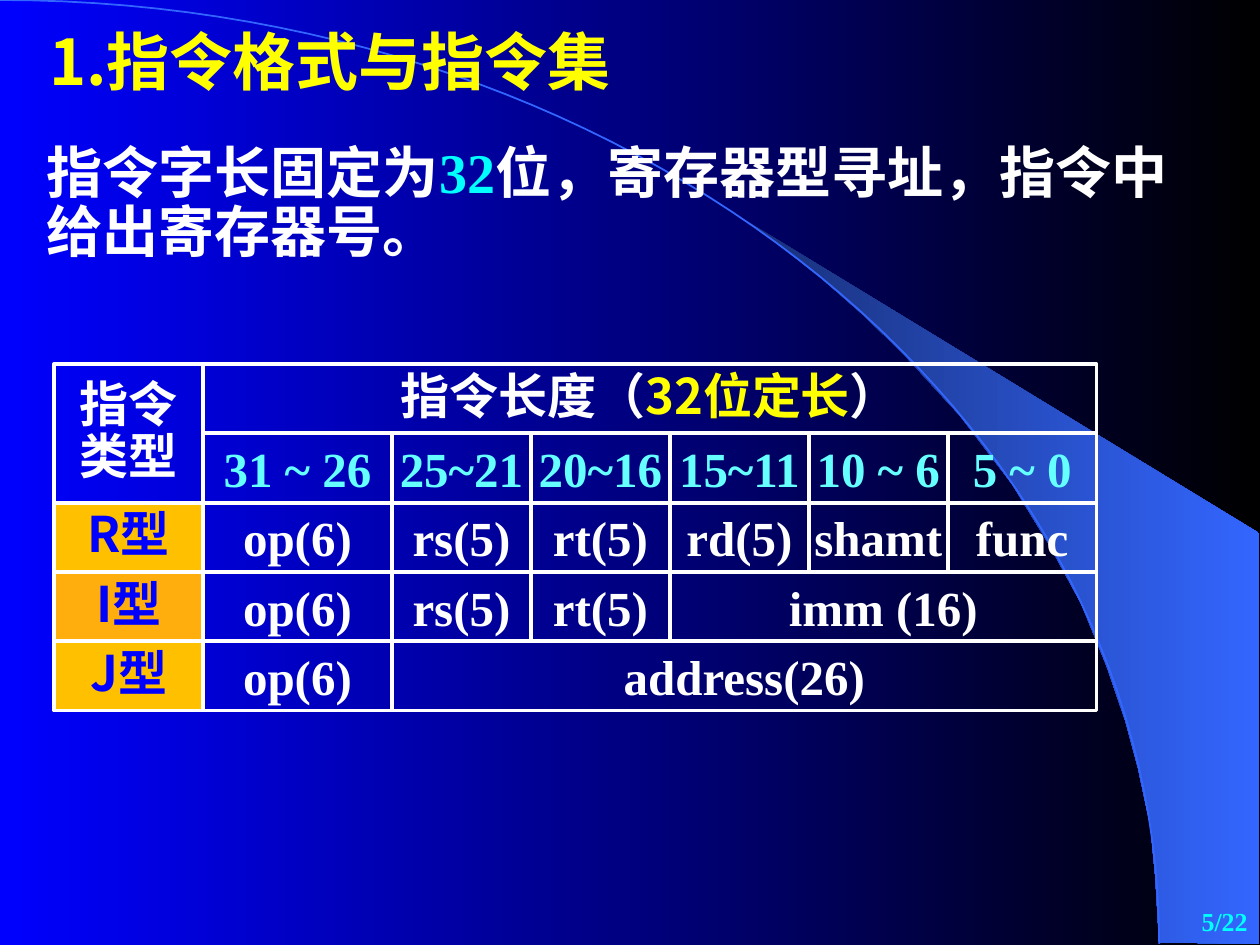
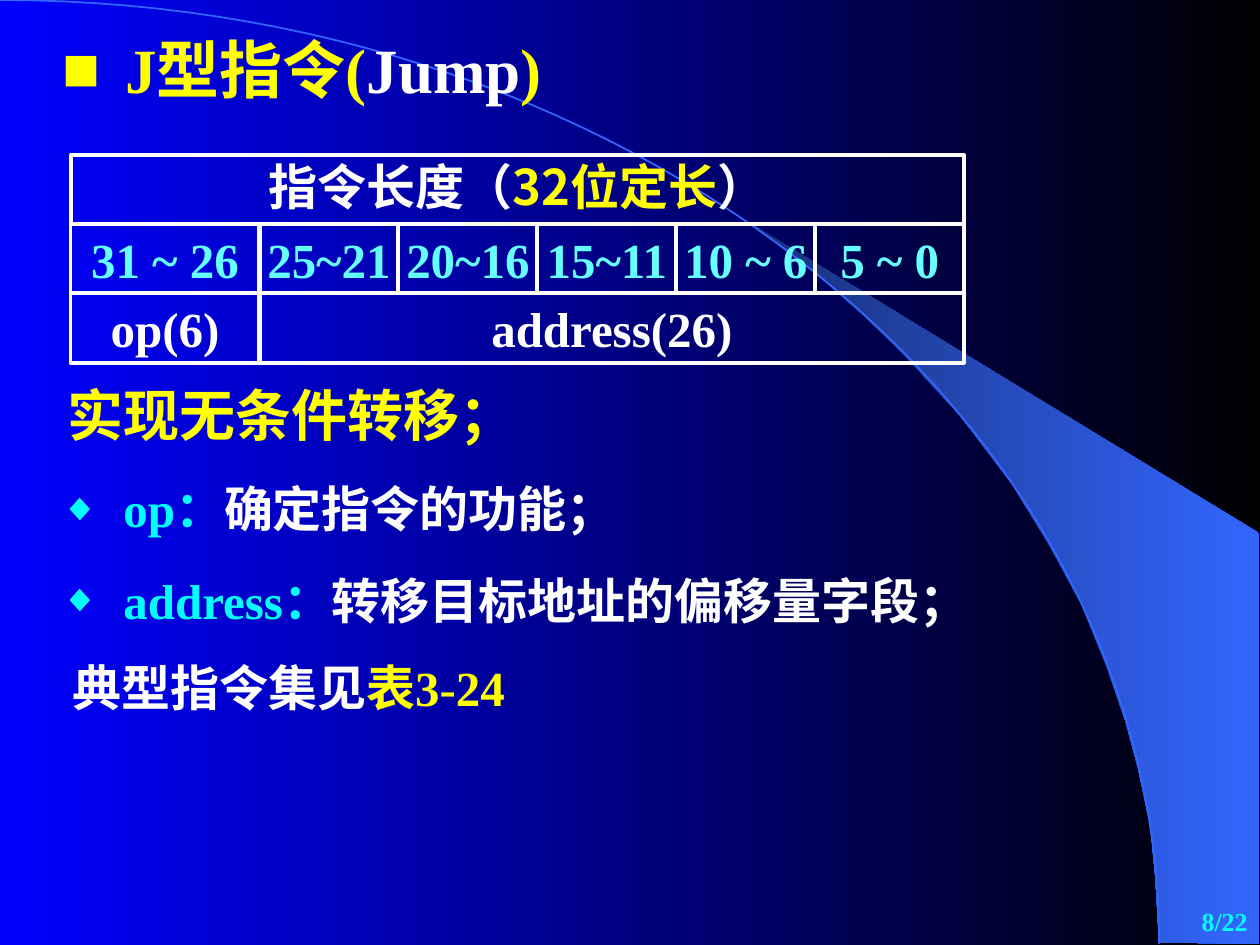
from lxml.etree import SubElement
from pptx import Presentation
from pptx.dml.color import RGBColor
from pptx.enum.shapes import MSO_SHAPE
from pptx.enum.text import MSO_ANCHOR, PP_ALIGN
from pptx.oxml.ns import qn
from pptx.util import Pt

WIDTH, HEIGHT = 720, 540
TIMES, NOTO = "Times New Roman", "Noto Sans CJK SC"
BLUE, BLACK, WHITE = "0000FF", "000000", "FFFFFF"
YELLOW, CYAN, PALE_CYAN = "FFFF00", "00FFFF", "66FFFF"
GOLD, ORANGE = "FFC000", "FFAE0D"
BEAM_DARK, BEAM_LIGHT = "182F76", "3366FF"
BEAM = [(662.4, 538.6), (719.3, 539.3), (719.3, 304.6), (424, 124.6),
        (449.3, 143.3), (470.2, 159.8), (493.2, 180), (515.5, 201.6),
        (548.6, 237.6), (578.2, 276.5), (599, 310.3), (617.8, 344.9),
        (632.2, 380.2), (643, 411.8), (650.2, 438.5), (657.4, 472.3),
        (660.2, 501.1)]
ARC = [(0, 0), (365.8, 0), (662.4, 241.2), (662.4, 539.3)]
ROW_HEIGHT = 39.6
TYPE_WIDTH = 85
FIELD_WIDTHS = [108] + [79.4] * 4 + [85]
BIT_RANGES = ["31 ~ 26", "25~21", "20~16", "15~11", "10 ~ 6", "5 ~ 0"]
J_FIELDS = [("op(6)", 1), ("address(26)", 5)]
FORMATS = [
    ("R型", GOLD, [(name, 1) for name in
                  ("op(6)", "rs(5)", "rt(5)", "rd(5)", "shamt", "func")]),
    ("I型", ORANGE, [("op(6)", 1), ("rs(5)", 1), ("rt(5)", 1), ("imm (16)", 3)]),
    ("J型", GOLD, J_FIELDS),
]


def rgb(color):
    return RGBColor.from_string(color)


def fill_gradient(fill, start, end):
    fill.gradient()
    fill.gradient_angle = 0
    for stop, color in zip(fill.gradient_stops, (start, end)):
        stop.color.rgb = rgb(color)


def write_para(para, spans, size, font, align=PP_ALIGN.LEFT):
    """Fill a paragraph with (text, colour) spans."""
    para.alignment = align
    if not all(text.isascii() for text, _ in spans):
        para.line_spacing = 0.88
    for text, color in spans:
        span = para.add_run()
        span.text = text
        span.font.size = Pt(size)
        span.font.bold = True
        span.font.name = font
        span.font.color.rgb = rgb(color)
        east_asian = SubElement(span.font._element, qn("a:ea"))
        east_asian.set("typeface", NOTO)


def add_bullet(para, char, color, percent):
    properties = para._p.get_or_add_pPr()
    properties.set("marL", str(Pt(36)))
    properties.set("indent", str(-Pt(36)))
    bullet_color = SubElement(properties, qn("a:buClr"))
    SubElement(bullet_color, qn("a:srgbClr")).set("val", color)
    SubElement(properties, qn("a:buSzPct")).set("val", str(percent * 1000))
    SubElement(properties, qn("a:buFont")).set("typeface", TIMES)
    SubElement(properties, qn("a:buChar")).set("char", char)


def add_text(page, box, spans, size, font=TIMES, align=PP_ALIGN.LEFT, bullet=None):
    frame = page.shapes.add_textbox(*map(Pt, box)).text_frame
    frame.word_wrap = True
    para = frame.paragraphs[0]
    write_para(para, spans, size, font, align)
    if bullet:
        add_bullet(para, *bullet)


def add_cell(page, box, lines, font=TIMES, fill=None):
    """Draw one framed cell; each line is a list of spans."""
    cell = page.shapes.add_shape(MSO_SHAPE.RECTANGLE, *map(Pt, box))
    cell.shadow.inherit = False
    cell.line.color.rgb = rgb(WHITE)
    cell.line.width = Pt(2.25)
    if fill:
        cell.fill.solid()
        cell.fill.fore_color.rgb = rgb(fill)
    else:
        cell.fill.background()
    frame = cell.text_frame
    frame.word_wrap = False
    frame.vertical_anchor = MSO_ANCHOR.MIDDLE
    for index, spans in enumerate(lines):
        para = frame.add_paragraph() if index else frame.paragraphs[0]
        write_para(para, spans, 28, font, PP_ALIGN.CENTER)


def add_field_row(page, left, top, fields, color=WHITE):
    """Draw a row of (name, number of columns) fields."""
    column = 0
    for name, count in fields:
        width = sum(FIELD_WIDTHS[column:column + count])
        add_cell(page, (left, top, width, ROW_HEIGHT), [[(name, color)]])
        left += width
        column += count


def add_field_header(page, left, top):
    add_cell(page, (left, top, sum(FIELD_WIDTHS), ROW_HEIGHT),
             [[("指令长度（", WHITE), ("32位定长", YELLOW), ("）", WHITE)]], NOTO)
    add_field_row(page, left, top + ROW_HEIGHT,
                  [(bits, 1) for bits in BIT_RANGES], PALE_CYAN)


def add_format_grid(page, left, top):
    fields_left = left + TYPE_WIDTH
    add_cell(page, (left, top, TYPE_WIDTH, 2 * ROW_HEIGHT),
             [[("指令", WHITE)], [("类型", WHITE)]], NOTO)
    add_field_header(page, fields_left, top)
    for row, (name, fill, fields) in enumerate(FORMATS, start=2):
        row_top = top + row * ROW_HEIGHT
        add_field_row(page, fields_left, row_top, fields)
        add_cell(page, (left, row_top, TYPE_WIDTH, ROW_HEIGHT),
                 [[(name, BLUE)]], NOTO, fill)


def curve_points(controls, steps=60):
    """Return points along a cubic Bezier curve."""
    points = []
    for step in range(steps + 1):
        t = step / steps
        weights = ((1 - t) ** 3, 3 * t * (1 - t) ** 2, 3 * t * t * (1 - t), t ** 3)
        points.append(tuple(sum(weight * point[axis]
                                for weight, point in zip(weights, controls))
                            for axis in (0, 1)))
    return points


def add_outline(page, points, close):
    start, *rest = [(Pt(x), Pt(y)) for x, y in points]
    builder = page.shapes.build_freeform(*start)
    builder.add_line_segments(rest, close=close)
    outline = builder.convert_to_shape()
    outline.shadow.inherit = False
    return outline


def add_page(deck, number):
    """Add a page with the shared background, beam, arc and page number."""
    page = deck.slides.add_slide(deck.slide_layouts[6])
    fill_gradient(page.background.fill, BLUE, BLACK)
    beam = add_outline(page, BEAM, True)
    fill_gradient(beam.fill, BEAM_DARK, BEAM_LIGHT)
    beam.line.fill.background()
    arc = add_outline(page, curve_points(ARC), False)
    arc.fill.background()
    arc.line.color.rgb = rgb(BEAM_LIGHT)
    arc.line.width = Pt(1)
    add_text(page, (570, 514, 150, 26), [(f"{number}/22", CYAN)], 14.8,
             align=PP_ALIGN.RIGHT)
    return page


def build_format_page(deck):
    page = add_page(deck, 5)
    add_text(page, (21, 15, 390, 50.4), [("1.指令格式与指令集", YELLOW)], 36, NOTO)
    add_text(page, (19.5, 80, 669, 84),
             [("指令字长固定为", WHITE), ("32", CYAN),
              ("位，寄存器型寻址，指令中给出寄存器号。", WHITE)], 32)
    add_format_grid(page, 31, 208)


def build_jump_page(deck):
    page = add_page(deck, 8)
    add_text(page, (28.5, 19.5, 377, 51),
             [("J型指令(", YELLOW), ("Jump", WHITE), (")", YELLOW)], 36,
             bullet=("■", YELLOW, 100))
    left, top = 40.3, 88.5
    add_field_header(page, left, top)
    add_field_row(page, left, top + 2 * ROW_HEIGHT, J_FIELDS)
    add_text(page, (31.5, 219, 412, 46), [("实现无条件转移；", YELLOW)], 32)
    notes = [("op：", "确定指令的功能；", 412),
             ("address：", "转移目标地址的偏移量字段；", 565)]
    for index, (field, meaning, width) in enumerate(notes):
        add_text(page, (27.5, 274.5 + index * 52.5, width, 42),
                 [(field, CYAN), (meaning, WHITE)], 28, bullet=("◆", CYAN, 80))
    add_text(page, (34.5, 376.5, 354, 42),
             [("典型指令集见", WHITE), ("表3-24", YELLOW)], 28)


def main():
    deck = Presentation()
    deck.slide_width, deck.slide_height = Pt(WIDTH), Pt(HEIGHT)
    build_format_page(deck)
    build_jump_page(deck)
    deck.save("out.pptx")


if __name__ == "__main__":
    main()
